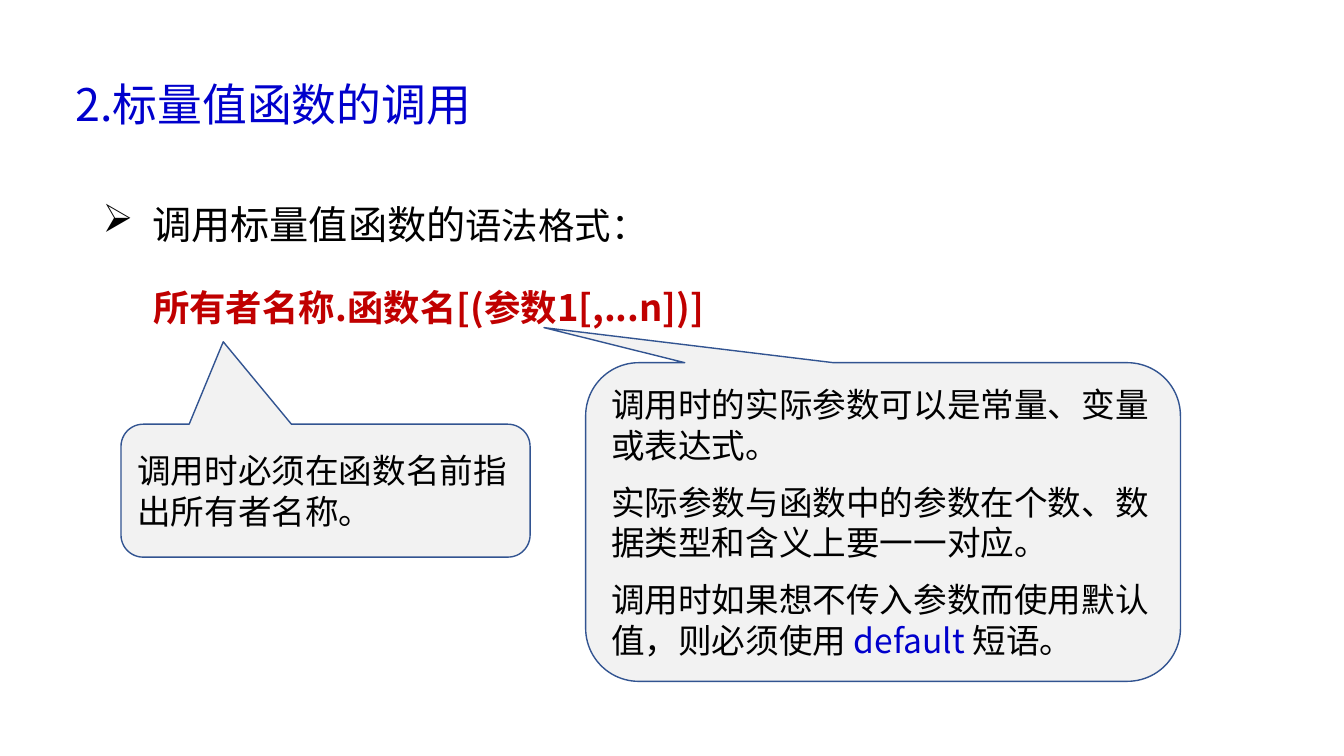
import dataclasses

import pptx
import pptx.dml.color
import pptx.enum.lang
import pptx.enum.shapes
import pptx.enum.text
import pptx.oxml
import pptx.oxml.ns
import pptx.util

Cm = pptx.util.Cm
Pt = pptx.util.Pt
Anchor = pptx.enum.text.MSO_ANCHOR


@dataclasses.dataclass(frozen=True)
class Theme:
    face: str = "Noto Sans CJK SC"
    ink: str = "000000"
    blue: str = "0000CC"
    red: str = "C00000"
    fill: str = "F2F2F2"
    edge: str = "325491"
    title: int = 32
    lead: int = 28
    code: int = 26
    note: int = 24
    gap: int = 12


THEME = Theme()


def tint(code):
    return pptx.dml.color.RGBColor.from_string(code)


def put(target, **values):
    for name, value in values.items():
        setattr(target, name, value)


def write(para, text, size, color=THEME.ink, bold=False):
    """Add a run whose Latin and East Asian faces are the theme face."""
    run = para.add_run()
    run.text = text
    put(run.font, size=Pt(size), bold=bold, name=THEME.face,
        language_id=pptx.enum.lang.MSO_LANGUAGE_ID.SIMPLIFIED_CHINESE)
    run.font.color.rgb = tint(color)
    east = pptx.oxml.ns.qn("a:ea")
    run.font._element.makeelement  # noqa: B018
    pptx.oxml.xmlchemy.OxmlElement("a:ea")
    mark = run.font._element.makeelement(east, {"typeface": THEME.face})
    run.font._element.append(mark)


def indent(para, left, first, bullet=None):
    props = para._p.get_or_add_pPr()
    props.set("marL", str(Cm(left)))
    props.set("indent", str(Cm(first)))
    if bullet:
        tag = pptx.oxml.ns.qn("a:buChar")
        props.append(props.makeelement(tag, {"char": bullet}))


def frame(slide, box, anchor):
    """Add a wrapping text box and return its text frame."""
    text = slide.shapes.add_textbox(*map(Cm, box)).text_frame
    put(text, word_wrap=True, vertical_anchor=anchor)
    return text


def title(slide, box, text):
    para = frame(slide, box, Anchor.MIDDLE).paragraphs[0]
    para.line_spacing = 1.2
    write(para, text, THEME.title, THEME.blue)


def syntax(slide, box, lead, tail, code):
    text = frame(slide, box, Anchor.TOP)
    head = text.paragraphs[0]
    head.line_spacing = 1.5
    indent(head, 1.25, -1.25, "➢")
    write(head, lead, THEME.lead)
    write(head, tail, THEME.code)

    form = text.add_paragraph()
    put(form, line_spacing=1.5, space_before=Pt(THEME.gap))
    indent(form, 1.9, -0.63)
    write(form, code, THEME.code, THEME.red, True)


def callout(slide, box, tip, notes):
    """Draw a callout; tip is its point, relative to the centre and size."""
    kind = pptx.enum.shapes.MSO_SHAPE.ROUNDED_RECTANGULAR_CALLOUT
    shape = slide.shapes.add_shape(kind, *map(Cm, box))
    shape.shadow.inherit = False
    for place, value in enumerate(tip):
        shape.adjustments[place] = value
    shape.fill.solid()
    shape.fill.fore_color.rgb = tint(THEME.fill)
    shape.line.color.rgb = tint(THEME.edge)
    shape.line.width = Pt(1)

    text = shape.text_frame
    put(text, word_wrap=True, vertical_anchor=Anchor.MIDDLE)
    for count, note in enumerate(notes):
        para = text.add_paragraph() if count else text.paragraphs[0]
        para.alignment = pptx.enum.text.PP_ALIGN.LEFT
        if count:
            para.space_before = Pt(THEME.gap)
        for words, color in note:
            write(para, words, THEME.note, color)


def main():
    deck = pptx.Presentation()
    put(deck, slide_width=Cm(33.87), slide_height=Cm(19.05))
    slide = deck.slides.add_slide(deck.slide_layouts[6])
    title(slide, (1.65, 0.64, 29.21, 3.68), "2.标量值函数的调用")
    syntax(slide, (2.34, 4.32, 29.21, 12.47),
           "调用标量值函数的", "语法格式：", "所有者名称.函数名[(参数1[,...n])]")
    ink = THEME.ink
    callout(slide, (3.05, 10.69, 10.31, 3.35), (-0.25, -1.12), [
        [("调用时必须在函数名前指出所有者名称。", ink)],
    ])
    callout(slide, (14.76, 9.14, 14.99, 8.03), (-0.57, -0.61), [
        [("调用时的实际参数可以是常量、变量或表达式。", ink)],
        [("实际参数与函数中的参数在个数、数据类型和含义上要一一对应。", ink)],
        [("调用时如果想不传入参数而使用默认值，则必须使用 ", ink),
         ("default", THEME.blue), (" 短语。", ink)],
    ])
    deck.save("out.pptx")


if __name__ == "__main__":
    main()
